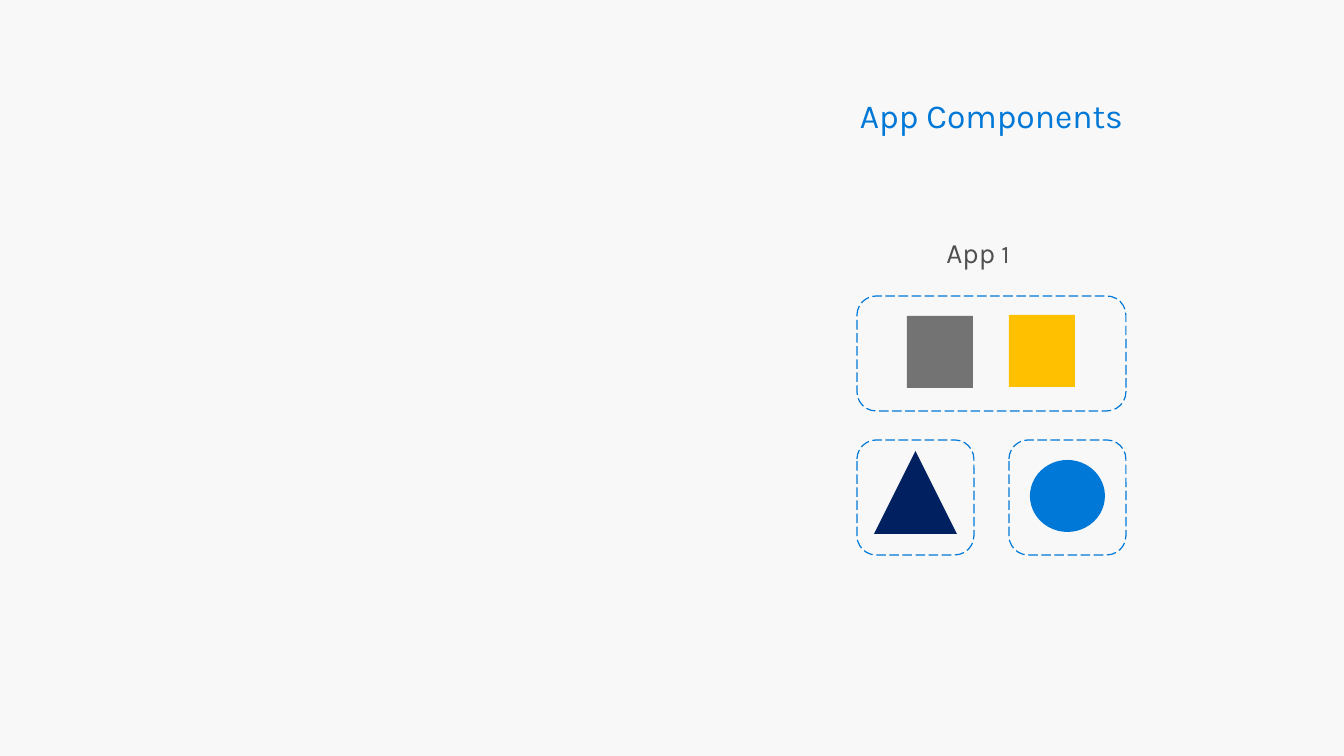
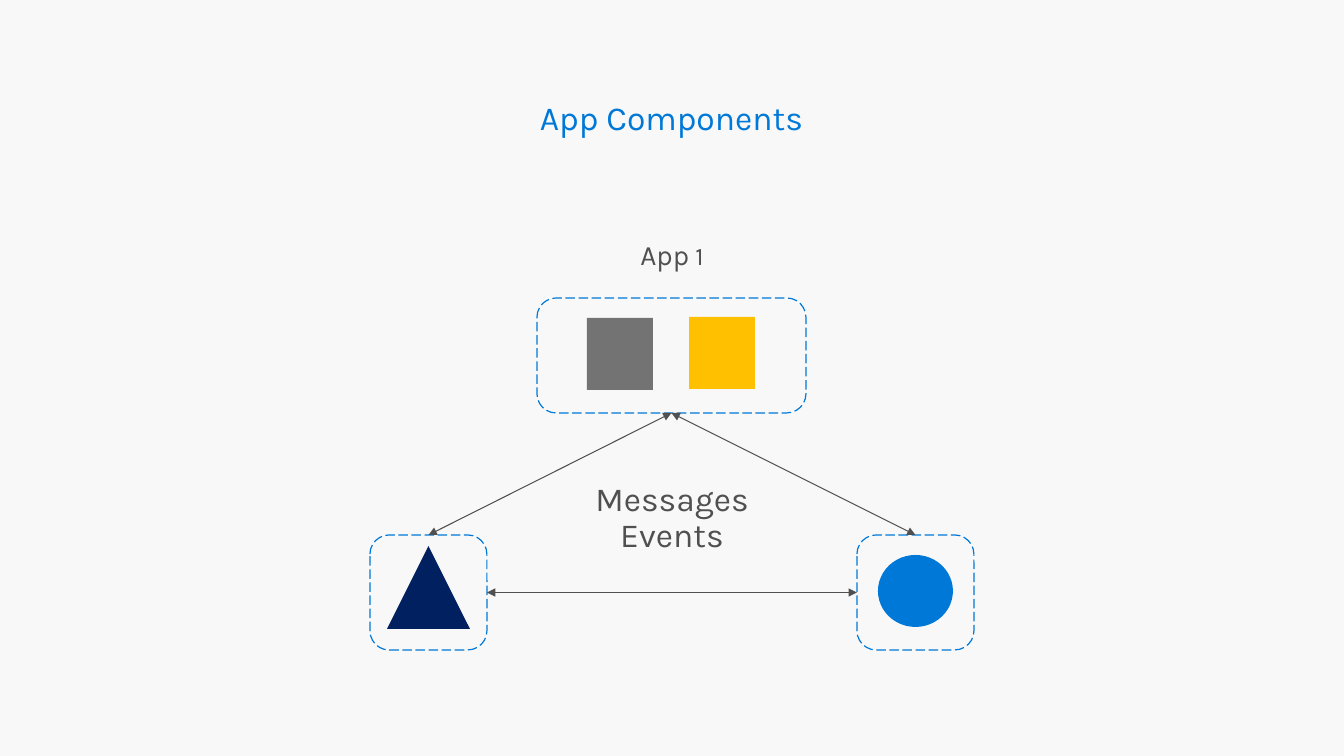
from lxml import etree
from pptx import Presentation
from pptx.dml.color import RGBColor
from pptx.enum.dml import MSO_LINE
from pptx.enum.shapes import MSO_CONNECTOR, MSO_SHAPE
from pptx.enum.text import MSO_ANCHOR, MSO_AUTO_SIZE, PP_ALIGN
from pptx.oxml.ns import qn
from pptx.util import Emu, Pt

# Shared style
WIDE, HIGH = 1344, 756
SCALE = 12192000 / WIDE
FONT = "Karla"
PAPER = RGBColor(0xF8, 0xF8, 0xF8)
BLUE = RGBColor(0x00, 0x78, 0xD7)
NAVY = RGBColor(0x00, 0x20, 0x60)
GRAY = RGBColor(0x73, 0x73, 0x73)
GOLD = RGBColor(0xFF, 0xC0, 0x00)
INK = RGBColor(0x50, 0x50, 0x50)

# Parts of each component: shape, colour, and place inside its frame
FRONT = [(MSO_SHAPE.RECTANGLE, GRAY, (50, 20, 66, 72)),
         (MSO_SHAPE.RECTANGLE, GOLD, (152, 19, 66, 72))]
PEAK = [(MSO_SHAPE.ISOSCELES_TRIANGLE, NAVY, (17, 11, 83, 83))]
DISC = [(MSO_SHAPE.OVAL, BLUE, (21, 20, 75, 72))]
BROAD, SMALL, TALL = 269, 117, 115

# Connection sites of a frame
TOP, LEFT, BOTTOM, RIGHT = range(4)


def px(num):
    return Emu(round(num * SCALE))


def place(shape, *area):
    shape.left, shape.top, shape.width, shape.height = map(px, area)


def style(run, size, color):
    run.font.name = FONT
    run.font.size = Pt(size)
    run.font.color.rgb = color


def fill_text(shape, text, color):
    """Set large centred text with roomy insets."""
    frame = shape.text_frame
    frame.text = text
    frame.word_wrap = True
    frame.auto_size = MSO_AUTO_SIZE.SHAPE_TO_FIT_TEXT
    frame.vertical_anchor = MSO_ANCHOR.TOP
    frame.margin_left = frame.margin_right = px(20)
    frame.margin_top = frame.margin_bottom = px(16)
    para = frame.paragraphs[0]
    para.alignment = PP_ALIGN.CENTER
    para.line_spacing = 0.9
    para.space_after = Pt(6)
    for run in para.runs:
        style(run, 24, color)


def add_title(slide, x, y):
    title = slide.shapes.title
    place(title, x, y, 309, 70)
    fill_text(title, "App Components", BLUE)


def add_label(slide, x, y):
    box = slide.shapes.add_textbox(*map(px, (x, y, 86, 44)))
    frame = box.text_frame
    frame.word_wrap = False
    frame.auto_size = MSO_AUTO_SIZE.SHAPE_TO_FIT_TEXT
    para = frame.paragraphs[0]
    para.alignment = PP_ALIGN.CENTER
    for text, size in (("App", 20), (" 1", 18)):
        run = para.add_run()
        run.text = text
        style(run, size, INK)


def add_part(slide, x, y, width, parts):
    """Group a dashed frame with its parts and return the frame."""
    group = slide.shapes.add_group_shape()
    frame = group.shapes.add_shape(
        MSO_SHAPE.ROUNDED_RECTANGLE, *map(px, (x, y, width, TALL)))
    frame.shadow.inherit = False
    frame.fill.background()
    frame.line.color.rgb = BLUE
    frame.line.width = Pt(0.85)
    frame.line.dash_style = MSO_LINE.LONG_DASH
    for kind, color, (dx, dy, w, h) in parts:
        item = group.shapes.add_shape(kind, *map(px, (x + dx, y + dy, w, h)))
        item.shadow.inherit = False
        item.fill.solid()
        item.fill.fore_color.rgb = color
        item.line.fill.background()
    return frame


def add_arrow(slide, start, exit, end, entry):
    """Join two frames with a line that has an arrowhead at each end."""
    arrow = slide.shapes.add_connector(MSO_CONNECTOR.STRAIGHT, 0, 0, 0, 0)
    arrow.begin_connect(start, exit)
    arrow.end_connect(end, entry)
    arrow.line.color.rgb = INK
    arrow.line.width = Pt(0.75)
    line = arrow.line._get_or_add_ln()
    for tag in ("a:headEnd", "a:tailEnd"):
        etree.SubElement(line, qn(tag)).set("type", "triangle")
    etree.SubElement(arrow._element.spPr, qn("a:effectLst"))


def add_app(deck, title, label, front, peak, disc):
    """Add a slide with the app's three components at the given places."""
    slide = deck.slides.add_slide(deck.slide_layouts[5])
    add_title(slide, *title)
    add_label(slide, *label)
    frames = [add_part(slide, *front, BROAD, FRONT),
              add_part(slide, *peak, SMALL, PEAK),
              add_part(slide, *disc, SMALL, DISC)]
    return slide, frames


def main():
    deck = Presentation()
    deck.slide_width, deck.slide_height = px(WIDE), px(HIGH)
    back = deck.slide_master.background.fill
    back.solid()
    back.fore_color.rgb = PAPER

    # Slide 1: components stacked together
    add_app(deck, (837, 83), (935, 231), (857, 296), (857, 440), (1009, 440))

    # Slide 2: components spread out and linked
    slide, (front, peak, disc) = add_app(
        deck, (517, 85), (629, 233), (537, 298), (370, 535), (857, 535))
    add_arrow(slide, peak, TOP, front, BOTTOM)
    add_arrow(slide, front, BOTTOM, disc, TOP)
    add_arrow(slide, peak, RIGHT, disc, LEFT)
    note = slide.shapes.add_textbox(*map(px, (557, 466, 230, 106)))
    fill_text(note, "Messages\vEvents", INK)

    deck.save("out.pptx")


if __name__ == "__main__":
    main()
